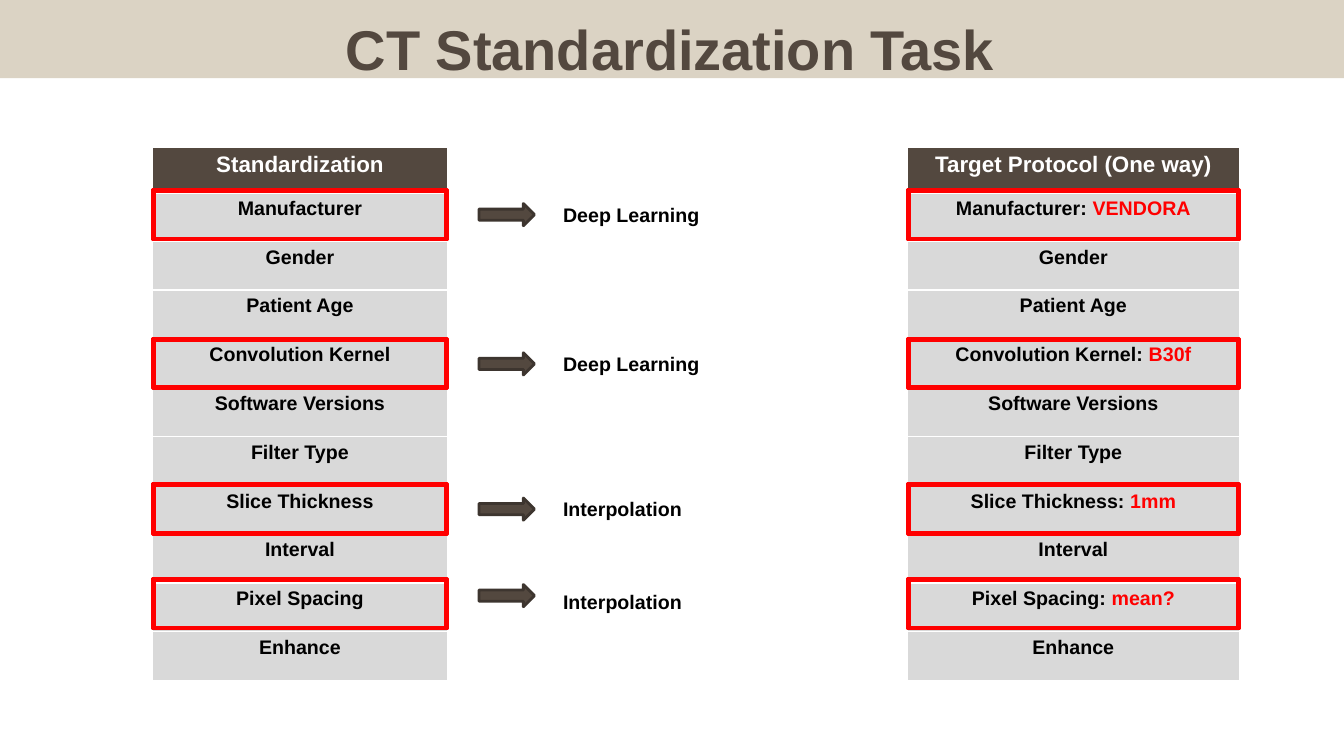
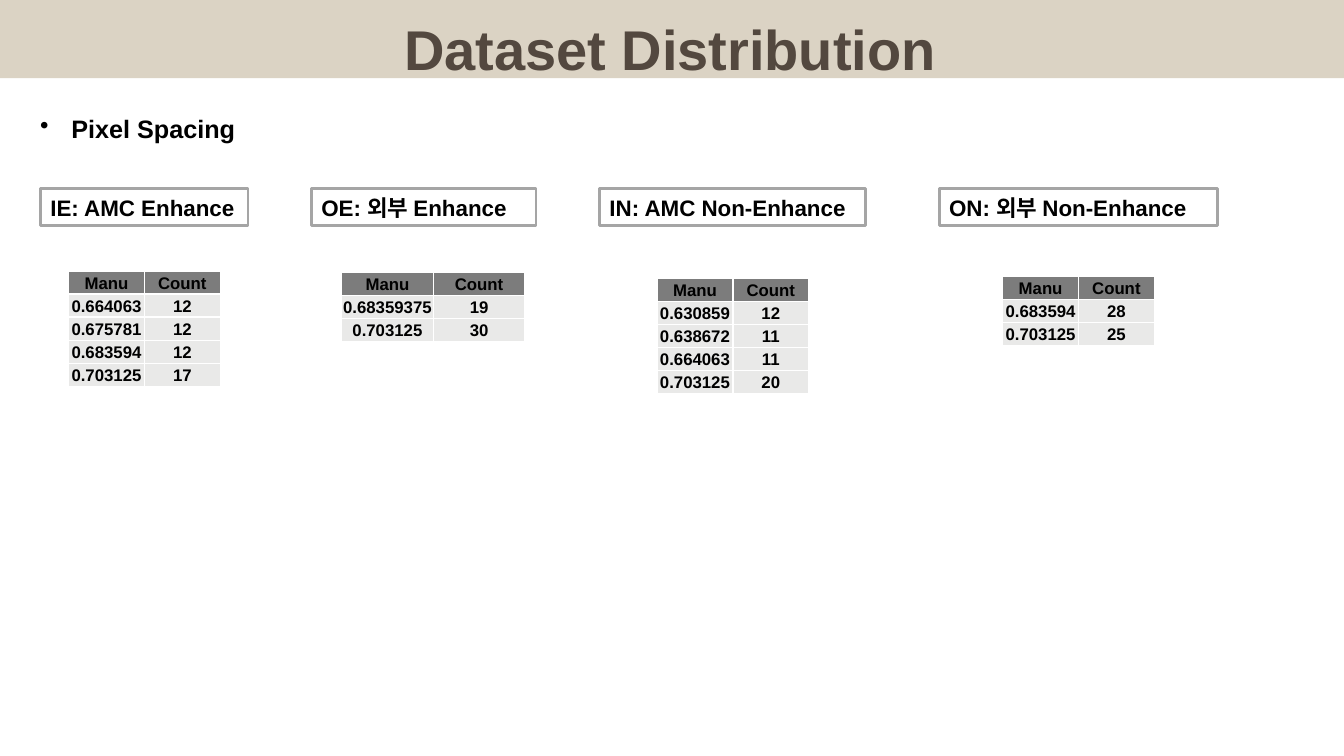
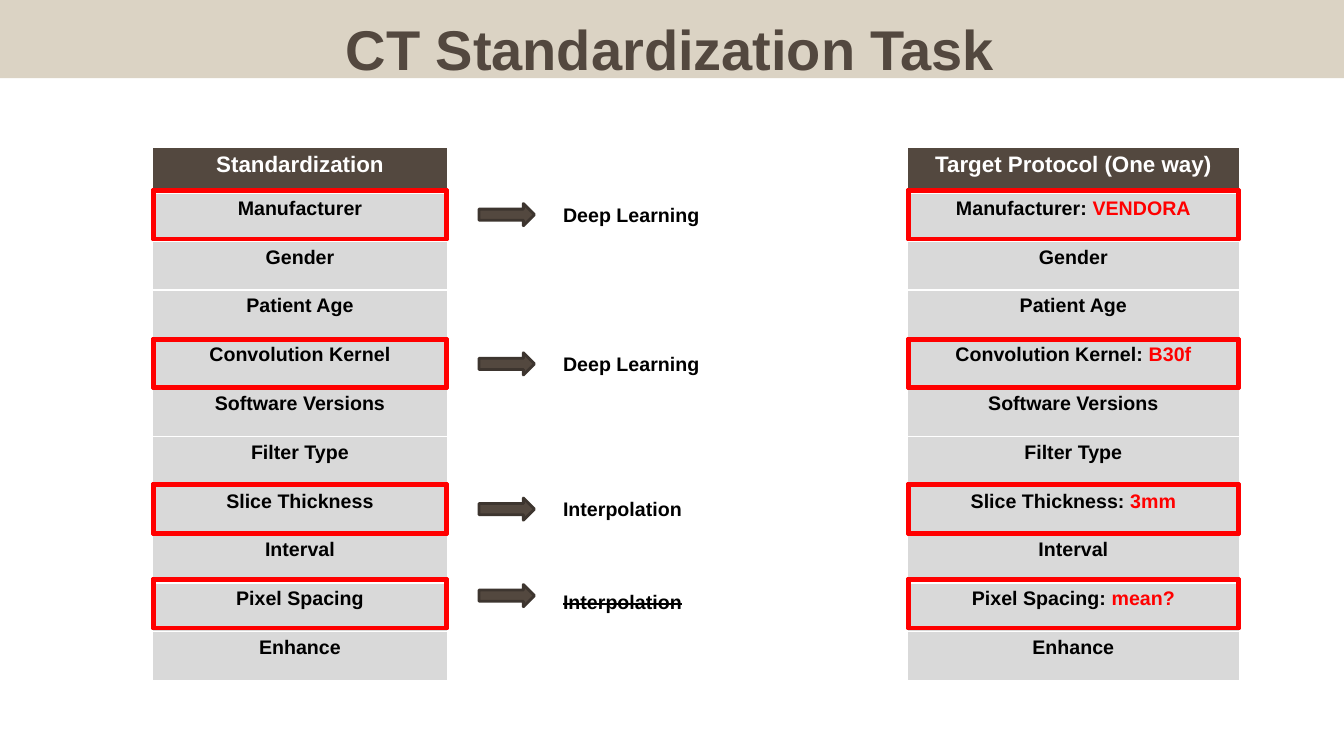
from dataclasses import dataclass

from lxml import etree
from pptx import Presentation
from pptx import util as u
from pptx.dml.color import RGBColor
from pptx.enum import shapes, text
from pptx.oxml import ns

Cm, Pt = u.Cm, u.Pt


@dataclass(frozen=True)
class Theme:
    font: str = "Arial"
    band: str = "DBD3C4"
    brown: str = "53483F"
    dark_brown: str = "3D352F"
    black: str = "000000"
    white: str = "FFFFFF"
    red: str = "FF0000"
    tag_line: str = "A5A5A5"
    field_fill: str = "D9D9D9"
    count_head: str = "7C7C7C"
    count_fill: str = "E9E9E8"
    title_size: int = 40
    topic_size: int = 18
    head_size: int = 16
    body_size: int = 14
    count_size: int = 12


T = Theme()
LEFT, CENTER = text.PP_ALIGN.LEFT, text.PP_ALIGN.CENTER
TOP, MIDDLE = text.MSO_ANCHOR.TOP, text.MSO_ANCHOR.MIDDLE

FIELDS = ["Manufacturer", "Gender", "Patient Age", "Convolution Kernel",
          "Software Versions", "Filter Type", "Slice Thickness", "Interval",
          "Pixel Spacing", "Enhance"]
FIELDS_TOP, FIELD_HEAD_HEIGHT, FIELD_HEIGHT = 3.71, 1.14, 1.23
STEPS = [
    (4.78, 5.13, 4.98, "Deep Learning"),
    (8.53, 8.89, 8.74, "Deep Learning"),
    (12.19, 12.55, 12.4, "Interpolation"),
    (14.58, 14.73, 14.73, "Interpolation"),
]
GROUPS = [
    ("IE: AMC Enhance", 1.02, 5.23, 1.73, 6.83, 1.91,
     [("0.664063", "12"), ("0.675781", "12"), ("0.683594", "12"), ("0.703125", "17")]),
    ("OE: 외부 Enhance", 7.85, 5.66, 8.61, 6.86, 2.31,
     [("0.68359375", "19"), ("0.703125", "30")]),
    ("IN: AMC Non-Enhance", 15.11, 6.71, 16.56, 7.01, 1.91,
     [("0.630859", "12"), ("0.638672", "11"), ("0.664063", "11"), ("0.703125", "20")]),
    ("ON: 외부 Non-Enhance", 23.67, 7.01, 25.27, 6.96, 1.91,
     [("0.683594", "28"), ("0.703125", "25")]),
]


def rgb(color):
    return RGBColor.from_string(color)


def box(left, top, width, height):
    return Cm(left), Cm(top), Cm(width), Cm(height)


def paint(part, color):
    part.fill.solid()
    part.fill.fore_color.rgb = rgb(color)


def write(frame, runs, size, align=LEFT):
    paragraph = frame.paragraphs[0]
    paragraph.alignment = align
    for words, color in runs:
        run = paragraph.add_run()
        run.text = words
        run.font.name = T.font
        run.font.size = Pt(size)
        run.font.bold = True
        run.font.color.rgb = rgb(color)
    return paragraph


def add_titled_slide(deck, words):
    slide = deck.slides.add_slide(deck.slide_layouts[5])
    title = slide.shapes.title
    title.left, title.top, title.width, title.height = box(-0.1, -0.03, 33.97, 2)
    paint(title, T.band)
    frame = title.text_frame
    frame.auto_size = text.MSO_AUTO_SIZE.NONE
    frame.vertical_anchor = TOP
    frame.margin_top, frame.margin_bottom = Cm(0.22), Cm(0)
    write(frame, [(words, T.brown)], T.title_size, CENTER).line_spacing = 1.11
    return slide


def add_preset(slide, kind, place, fill, line):
    preset = slide.shapes.add_shape(kind, *place)
    preset.shadow.inherit = False
    paint(preset, fill)
    preset.line.color.rgb = rgb(line)
    preset.line.width = Pt(2)
    return preset


def add_label(slide, place, words, size):
    label = slide.shapes.add_textbox(*place)
    label.text_frame.word_wrap = False
    return write(label.text_frame, [(words, T.black)], size)


def add_bullet(paragraph):
    properties = paragraph._p.get_or_add_pPr()
    properties.set("marL", str(Cm(0.79)))
    properties.set("indent", str(-Cm(0.79)))
    color = etree.SubElement(properties, ns.qn("a:buClr"))
    etree.SubElement(color, ns.qn("a:srgbClr"), val=T.black)
    etree.SubElement(properties, ns.qn("a:buChar"), char="•")


def set_borders(cell, bottom):
    properties = cell._tc.get_or_add_tcPr()
    sides = [("lnL", 1), ("lnR", 1), ("lnT", 1), ("lnB", bottom)]
    for position, (side, points) in enumerate(sides):
        border = etree.Element(ns.qn("a:" + side), w=str(Pt(points)))
        fill = etree.SubElement(border, ns.qn("a:solidFill"))
        etree.SubElement(fill, ns.qn("a:srgbClr"), val=T.white)
        properties.insert(position, border)


def add_grid(slide, left, top, column_width, heights, rows, fills, sizes,
             head_border=1, anchor=TOP, margin=None):
    columns = len(rows[0])
    place = box(left, top, column_width * columns, sum(heights))
    table = slide.shapes.add_table(len(rows), columns, *place).table
    table.horz_banding = False
    for column in table.columns:
        column.width = Cm(column_width)
    for index, cells in enumerate(rows):
        body = min(index, 1)
        table.rows[index].height = Cm(heights[index])
        for cell, runs in zip(table.rows[index].cells, cells):
            paint(cell, fills[body])
            set_borders(cell, 1 if body else head_border)
            cell.vertical_anchor = anchor
            if margin is not None:
                cell.margin_left = cell.margin_right = cell.margin_top = Cm(margin)
                cell.margin_bottom = Cm(0)
            write(cell.text_frame, runs, sizes[body], CENTER)


def add_field_table(slide, left, width, heading, targets):
    rows = [[[(heading, T.white)]]]
    for field in FIELDS:
        runs = [(field, T.black)]
        if field in targets:
            runs = [(field + ": ", T.black), (targets[field], T.red)]
        rows.append([runs])
    heights = [FIELD_HEAD_HEIGHT] + [FIELD_HEIGHT] * len(FIELDS)
    add_grid(slide, left, FIELDS_TOP, width, heights, rows,
             (T.brown, T.field_fill), (T.head_size, T.body_size), head_border=3)
    for frame_top, *_ in STEPS:
        highlight = add_preset(slide, shapes.MSO_SHAPE.FRAME,
                               box(left, frame_top, width, 1.27), T.brown, T.red)
        highlight.adjustments[0] = 0.04


def build_task(deck, thickness, dropped_step=None):
    slide = add_titled_slide(deck, "CT Standardization Task")
    add_field_table(slide, 3.84, 7.44, "Standardization", {})
    for index, (_, arrow_top, label_top, method) in enumerate(STEPS):
        add_preset(slide, shapes.MSO_SHAPE.RIGHT_ARROW,
                   box(12.07, arrow_top, 1.4, 0.56), T.brown, T.dark_brown)
        label = add_label(slide, box(13.94, label_top, 3.96, 0.86), method, T.body_size)
        if index == dropped_step:
            label.runs[0].font._element.set("strike", "sngStrike")
    targets = {"Manufacturer": "VENDORA", "Convolution Kernel": "B30f",
               "Slice Thickness": thickness, "Pixel Spacing": "mean?"}
    add_field_table(slide, 22.87, 8.36, "Target Protocol (One way)", targets)


def build_distribution(deck):
    slide = add_titled_slide(deck, "Dataset Distribution")
    add_bullet(add_label(slide, box(0.76, 2.74, 5.49, 1.02), "Pixel Spacing", T.topic_size))
    for name, tag_left, tag_width, left, top, column_width, counts in GROUPS:
        rows = [[[(value, T.black)] for value in row]
                for row in [("Manu", "Count")] + counts]
        add_grid(slide, left, top, column_width, [0.58] * len(rows), rows,
                 (T.count_head, T.count_fill), (T.count_size, T.count_size),
                 anchor=MIDDLE, margin=0.03)
        tag = add_preset(slide, shapes.MSO_SHAPE.RECTANGLE,
                         box(tag_left, 4.75, tag_width, 0.94), T.white, T.tag_line)
        tag.text_frame.word_wrap = True
        write(tag.text_frame, [(name, T.black)], T.head_size)


def main():
    deck = Presentation()
    deck.slide_width, deck.slide_height = Cm(33.87), Cm(19.05)
    build_task(deck, "1mm")
    build_distribution(deck)
    build_task(deck, "3mm", dropped_step=3)
    deck.save("out.pptx")


if __name__ == "__main__":
    main()
